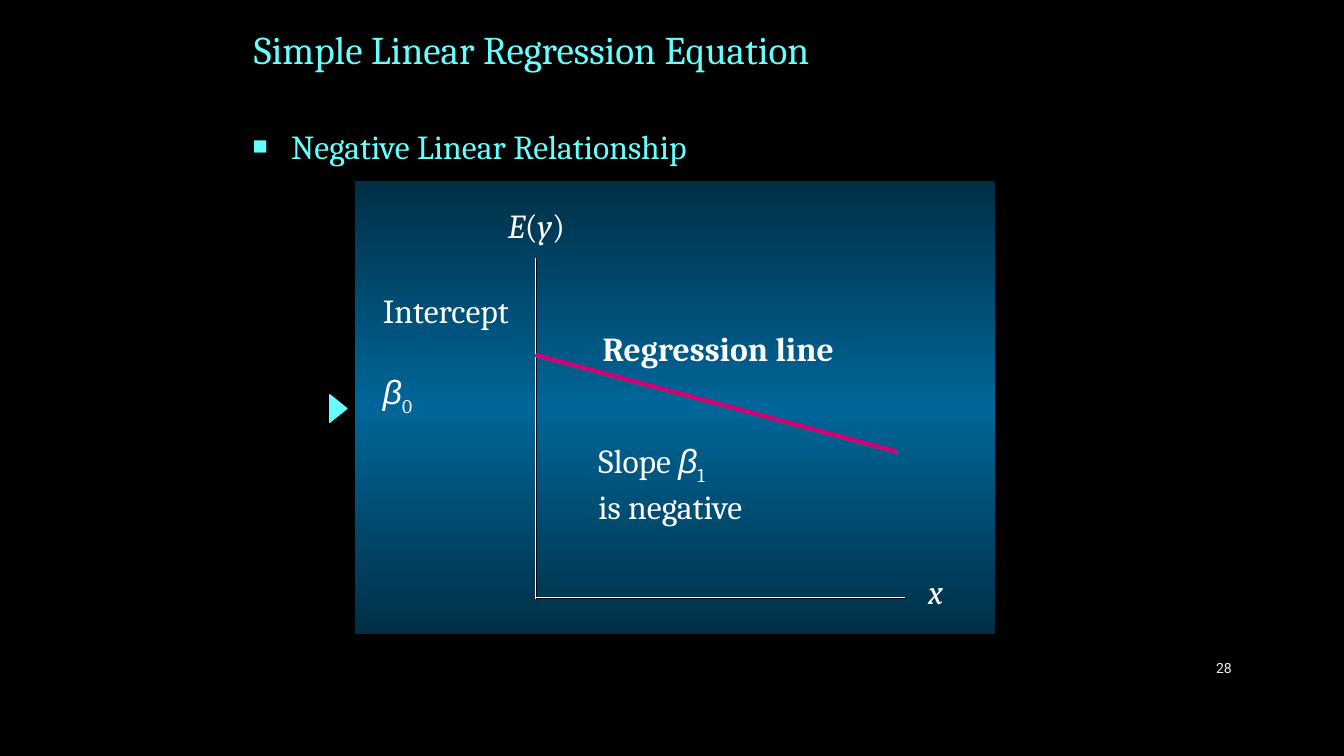
import pptx
import pptx.util
import pptx.dml.color
import pptx.enum.shapes
import pptx.enum.text
import pptx.oxml.ns
from lxml import etree

Cm = pptx.util.Cm
Pt = pptx.util.Pt
qn = pptx.oxml.ns.qn

COLORS = {
    "black": "000000",
    "white": "FFFFFF",
    "cyan": "66FFFF",
    "edge": "002F46",
    "middle": "006699",
    "magenta": "D20078",
    "line_shadow": "335B74",
    "number": "F2F2F2",
}
ITALIC = {"italic": True}
BETA = {"italic": True, "font": "Arial"}
SUBSCRIPT = {"baseline": -25000}


def rgb(name):
    return pptx.dml.color.RGBColor.from_string(COLORS[name])


def add_run(p, text, size, color, font="Cambria", italic=False, bold=False, baseline=0):
    r = p.add_run()
    r.text = text
    r.font.size = Pt(size)
    r.font.name = font
    r.font.italic = italic
    r.font.bold = bold
    r.font.color.rgb = rgb(color)
    if baseline:
        r.font._element.set("baseline", str(baseline))


def add_text(s, box, paragraphs, size=24, color="white", middle=False):
    """Add a text box; each paragraph is a list of (text, run options)."""
    tf = s.shapes.add_textbox(*map(Cm, box)).text_frame
    tf.word_wrap = True
    if middle:
        tf.vertical_anchor = pptx.enum.text.MSO_ANCHOR.MIDDLE
    for i, runs in enumerate(paragraphs):
        p = tf.add_paragraph() if i else tf.paragraphs[0]
        for text, options in runs:
            add_run(p, text, size, color, **options)
    return tf


def add_bullet(p):
    pPr = p._p.get_or_add_pPr()
    pPr.set("marL", str(Cm(0.97)))
    pPr.set("indent", str(-Cm(0.97)))
    spcBef = etree.SubElement(pPr, qn("a:spcBef"))
    etree.SubElement(spcBef, qn("a:spcPct"), val="20000")
    buClr = etree.SubElement(pPr, qn("a:buClr"))
    etree.SubElement(buClr, qn("a:srgbClr"), val=COLORS["cyan"])
    etree.SubElement(pPr, qn("a:buSzPct"), val="75000")
    etree.SubElement(pPr, qn("a:buFont"), typeface="Arial")
    etree.SubElement(pPr, qn("a:buChar"), char="■")


def add_line(s, start, end, color, width, shadow="black"):
    """Add a straight line with a sharp shadow down to the right."""
    line = s.shapes.add_connector(
        pptx.enum.shapes.MSO_CONNECTOR.STRAIGHT, *map(Cm, start + end))
    line.line.color.rgb = rgb(color)
    line.line.width = Pt(width)
    effects = etree.SubElement(line._element.spPr, qn("a:effectLst"))
    outer = etree.SubElement(effects, qn("a:outerShdw"),
                             dist=str(Pt(1.4)), dir="2700000", algn="ctr")
    etree.SubElement(outer, qn("a:srgbClr"), val=COLORS[shadow])


def add_panel(s, box):
    sp = s.shapes.add_shape(pptx.enum.shapes.MSO_SHAPE.RECTANGLE, *map(Cm, box))
    sp.shadow.inherit = False
    sp.line.fill.background()
    sp.fill.gradient()
    sp.fill.gradient_angle = 270
    stops = sp._element.spPr.find(".//" + qn("a:gsLst"))
    for stop in list(stops):
        stops.remove(stop)
    for percent, color in ((0, "edge"), (50, "middle"), (100, "edge")):
        gs = etree.SubElement(stops, qn("a:gs"), pos=str(percent * 1000))
        etree.SubElement(gs, qn("a:srgbClr"), val=COLORS[color])


def add_pointer(s, box):
    sp = s.shapes.add_shape(
        pptx.enum.shapes.MSO_SHAPE.ISOSCELES_TRIANGLE, *map(Cm, box))
    sp.rotation = 90
    sp.shadow.inherit = False
    sp.fill.solid()
    sp.fill.fore_color.rgb = rgb("cyan")
    sp.line.color.rgb = rgb("cyan")
    sp.line.width = Pt(1)


def main():
    prs = pptx.Presentation()
    prs.slide_width, prs.slide_height = Cm(33.87), Cm(19.05)
    s = prs.slides.add_slide(prs.slide_layouts[6])
    s.background.fill.solid()
    s.background.fill.fore_color.rgb = rgb("black")

    add_text(s, (6.15, 0.1, 21.59, 2.26),
             [[("Simple Linear Regression Equation", {})]], 28, "cyan", middle=True)
    tf = add_text(s, (6.12, 3.05, 13.87, 1.73),
                  [[("Negative Linear Relationship", {})]], color="cyan")
    add_bullet(tf.paragraphs[0])

    add_panel(s, (8.94, 4.55, 16.13, 11.43))
    axis_x, axis_y = 13.49, 15.04
    add_line(s, (axis_x, 6.5), (axis_x, 15.09), "white", 0.5)
    add_line(s, (22.81, axis_y), (axis_x, axis_y), "white", 0.5)
    add_text(s, (12.55, 5.05, 2.01, 1.27),
             [[("E", ITALIC), ("(", {}), ("y", ITALIC), (")", {})]])
    add_text(s, (23.14, 14.27, 0.94, 1.27), [[("x", ITALIC)]])
    add_line(s, (axis_x, 8.94), (22.61, 11.38), "magenta", 3, "line_shadow")

    add_text(s, (14.83, 10.97, 4.57, 2.31),
             [[("Slope ", {}), ("β", BETA), ("1", SUBSCRIPT)], [("is negative", {})]])
    add_text(s, (14.94, 8.15, 6.5, 1.27), [[("Regression line", {"bold": True})]])
    tf = add_text(s, (9.4, 7.19, 4.04, 2.31),
                  [[("Intercept", {})], [("β", BETA), ("0", SUBSCRIPT)]])
    tf.paragraphs[1].space_before = Pt(29)
    add_pointer(s, (8.18, 10.08, 0.69, 0.43))

    tf = add_text(s, (29.21, 16.33, 2.08, 1.02),
                  [[("28", {"font": "Roboto"})]], 10, "number", middle=True)
    tf.paragraphs[0].alignment = pptx.enum.text.PP_ALIGN.RIGHT
    prs.save("out.pptx")


if __name__ == "__main__":
    main()
